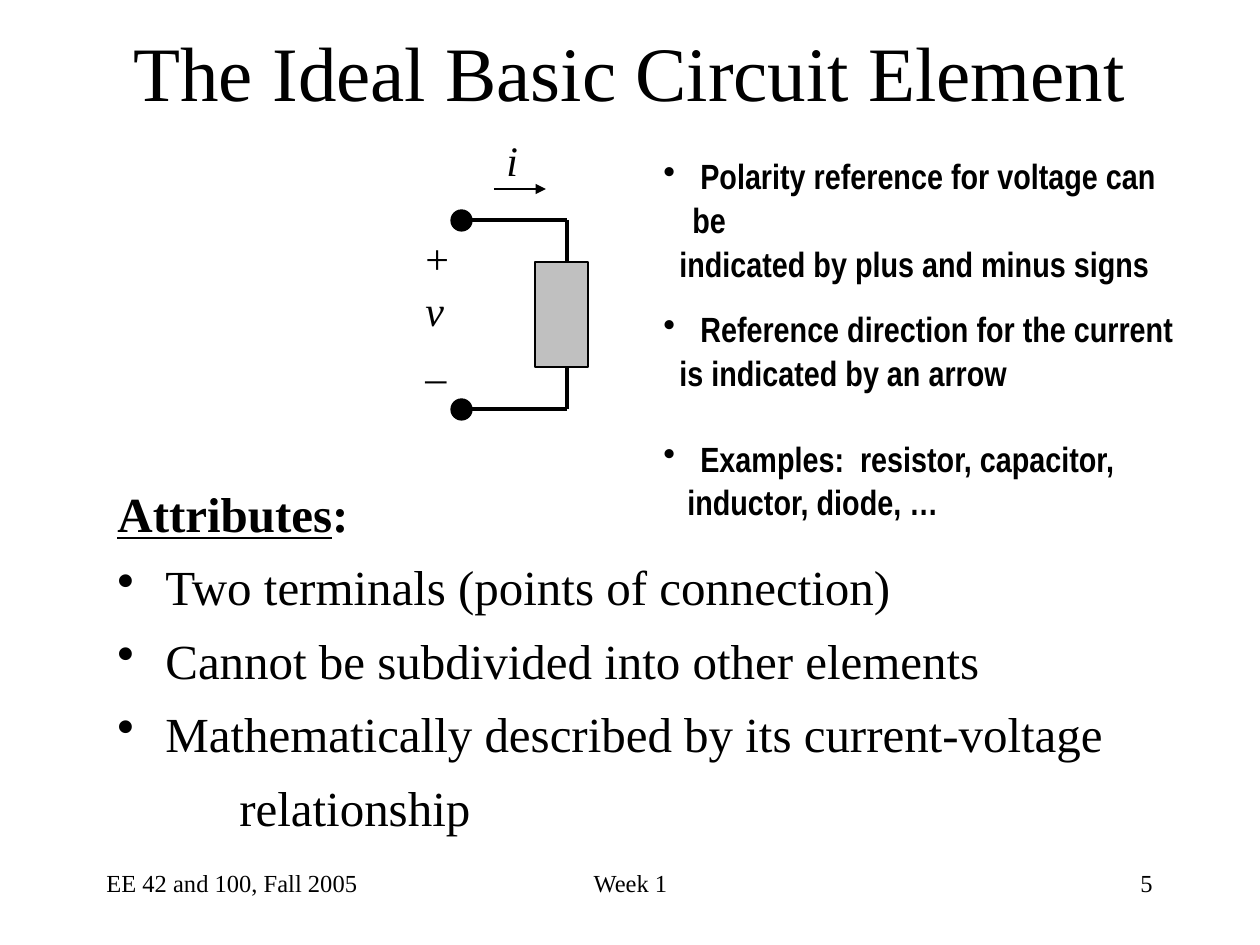
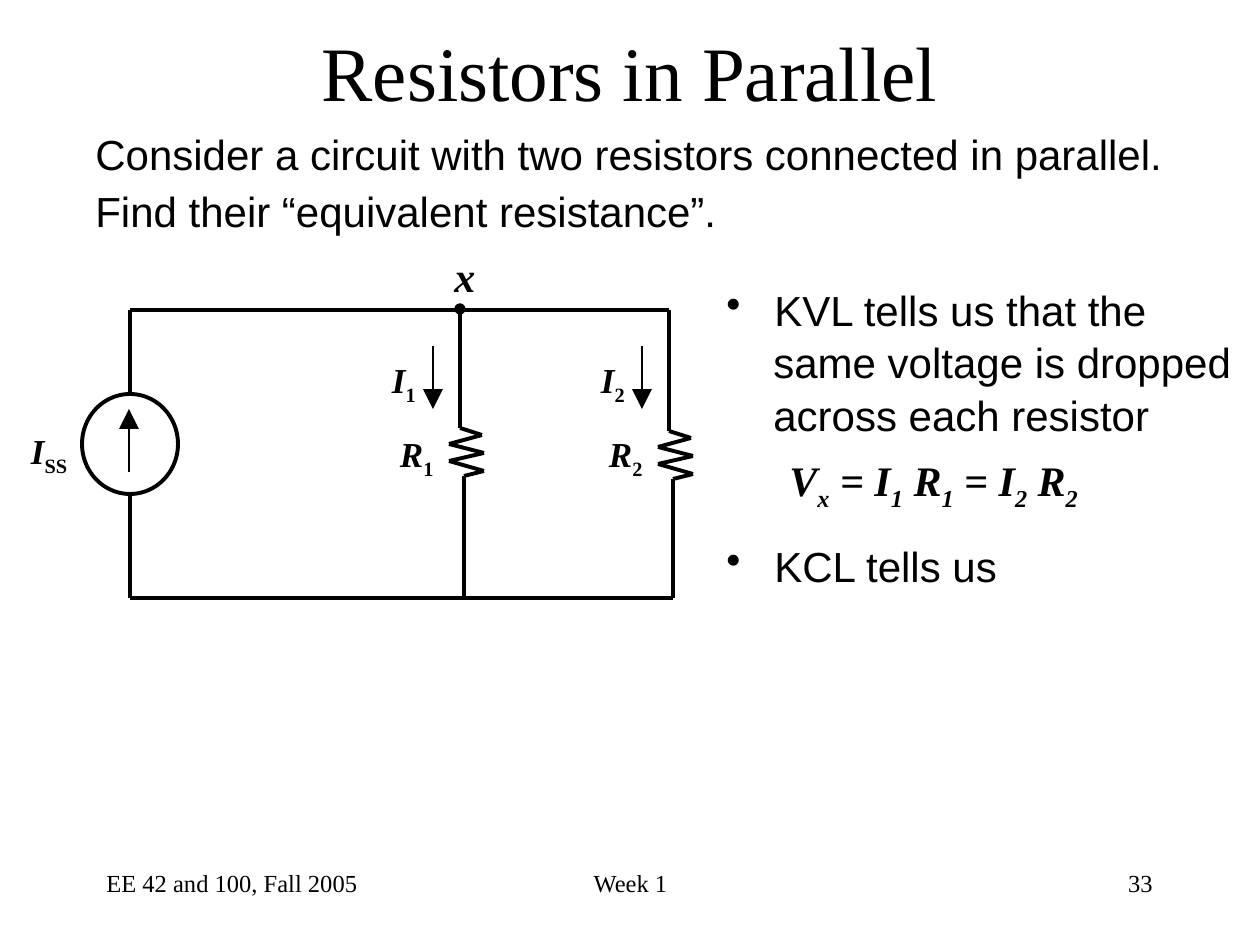
"""Build two circuit lecture slides with a shared title, footer and drawing style."""
import itertools
import math

import pptx
import pptx.dml.color
import pptx.enum.shapes
import pptx.enum.text
import pptx.oxml.ns
import pptx.util
from lxml import etree

PX = 914400 / 126
BLACK, WHITE, GREY = "000000", "FFFFFF", "C0C0C0"
SERIF, SANS, NARROW = "Times New Roman", "Arial", "Arial Narrow"
LINE_SPACING = 1.04
THICK, MEDIUM, THIN = 2.25, 1.5, 0.75
LEFT, CENTER, RIGHT = (pptx.enum.text.PP_ALIGN.LEFT, pptx.enum.text.PP_ALIGN.CENTER,
                       pptx.enum.text.PP_ALIGN.RIGHT)
TOP, MIDDLE = pptx.enum.text.MSO_ANCHOR.TOP, pptx.enum.text.MSO_ANCHOR.MIDDLE
SHAPES = pptx.enum.shapes.MSO_SHAPE

COURSE, WEEK = "EE 42 and 100, Fall 2005", "Week 1"

ATTRIBUTES = [
    {"runs": [("Attributes", "bu"), (":", "b")]},
    {"runs": "Two terminals (points of connection)", "bullet": 48, "before": 7},
    {"runs": "Cannot be subdivided into other elements", "bullet": 48, "before": 7},
    {"runs": "Mathematically described by its current-voltage", "bullet": 48, "before": 7},
    {"runs": "relationship", "indent": 122, "before": 7},
]
REFERENCES = [
    {"runs": " Polarity reference for voltage can be", "bullet": 29},
    {"runs": "indicated by plus and minus signs", "indent": 16},
    {"runs": " Reference direction for the current", "bullet": 29, "before": 12.5},
    {"runs": "is indicated by an arrow", "indent": 16},
    {"runs": " Examples:  resistor, capacitor,", "bullet": 29, "before": 24},
    {"runs": "inductor, diode, …", "indent": 24},
]
VOLTAGE = [{"runs": "+"}, {"runs": [("v", "i")]}, {"runs": "_"}]
ELEMENT_WIRES = [
    [(462, 220), (567, 220), (567, 262)],
    [(567, 368), (567, 409), (462, 409)],
]
TERMINALS = [(451, 210), (451, 399)]

PROBLEM = [
    {"runs": "Consider a circuit with two resistors connected in parallel."},
    {"runs": "Find their “equivalent resistance”.", "before": 3},
]
FORMULA = [("V", "bi"), ("x", "bi_"), (" = I", "bi"), ("1", "bi_"), (" R", "bi"), ("1", "bi_"),
           (" = I", "bi"), ("2", "bi_"), (" R", "bi"), ("2", "bi_")]
LAWS = [
    {"runs": "KVL tells us that the", "bullet": 48},
    {"runs": "same voltage is dropped", "indent": 47},
    {"runs": "across each resistor", "indent": 47},
    {"runs": FORMULA, "indent": 63, "before": 7.5, "font": SERIF},
    {"runs": "KCL tells us", "bullet": 48, "before": 15},
]
LOOP_WIRES = [
    [(130, 310), (130, 598)],
    [(130, 310), (669, 310)],
    [(130, 598), (673, 598)],
]
ZIGZAG = [(0, 0), (0, 24), (22, 31), (-11, 40), (24, 49), (-11, 57), (24, 67), (4, 72), (4, 96)]
BRANCHES = [("1", 460, 404), ("2", 669, 407)]


def px(length):
    return pptx.util.Emu(round(length * PX))


def rgb(color):
    return pptx.dml.color.RGBColor.from_string(color)


def add_text(s, box, paragraphs, size, font=SERIF, flags="", align=LEFT, anchor=TOP, inset=True):
    tf = s.shapes.add_textbox(*map(px, box)).text_frame
    tf.word_wrap = True
    tf.vertical_anchor = anchor
    if not inset:
        tf.margin_left = tf.margin_right = tf.margin_top = tf.margin_bottom = 0
    for i, spec_ in enumerate(paragraphs):
        p = tf.add_paragraph() if i else tf.paragraphs[0]
        bullet = spec_.get("bullet", 0)
        pPr = p._p.get_or_add_pPr()
        pPr.set("marL", str(px(bullet or spec_.get("indent", 0))))
        pPr.set("indent", str(px(-bullet)))
        if bullet:
            etree.SubElement(pPr, pptx.oxml.ns.qn("a:buChar")).set("char", "•")
        p.alignment = align
        p.line_spacing = LINE_SPACING
        p.space_before = pptx.util.Pt(spec_.get("before", 0))
        runs = spec_["runs"]
        for text, style in [(runs, "")] if isinstance(runs, str) else runs:
            r = p.add_run()
            r.text = text
            style += flags
            r.font.name = spec_.get("font", font)
            r.font.size = pptx.util.Pt(size)
            r.font.color.rgb = rgb(BLACK)
            r.font.bold = "b" in style
            r.font.italic = "i" in style
            r.font.underline = "u" in style
            if "_" in style:
                r.font._element.set("baseline", "-25000")


def add_label(s, x, y, letter, subscript):
    add_text(s, (x, y, 50, 48), [{"runs": [(letter, "i"), (subscript, "_")]}], 20,
             flags="b", inset=False)


def add_lines(s, points, width=THICK, arrow=False):
    for start, end in itertools.pairwise(points):
        line = s.shapes.add_connector(pptx.enum.shapes.MSO_CONNECTOR.STRAIGHT,
                                      *map(px, start + end))
        line.line.color.rgb = rgb(BLACK)
        line.line.width = pptx.util.Pt(width)
        spPr = line._element.spPr
        if arrow:
            tail = etree.SubElement(line.line._get_or_add_ln(), pptx.oxml.ns.qn("a:tailEnd"))
            tail.set("type", "triangle")
        etree.SubElement(spPr, pptx.oxml.ns.qn("a:effectLst"))


def paint(sp, fill, width=None):
    sp.shadow.inherit = False
    sp.fill.solid()
    sp.fill.fore_color.rgb = rgb(fill)
    if width:
        sp.line.color.rgb = rgb(BLACK)
        sp.line.width = pptx.util.Pt(width)
    else:
        sp.line.fill.background()


def add_shape(s, kind, box, fill, width=THIN):
    paint(s.shapes.add_shape(kind, *map(px, box)), fill, width)


def add_current_arrow(s, x, tail, tip):
    base = tip - math.copysign(20, tip - tail)
    add_lines(s, [(x, tail), (x, base)], THIN)
    builder = s.shapes.build_freeform(px(x - 10), px(base))
    builder.add_line_segments([(px(x), px(tip)), (px(x + 10), px(base))], close=True)
    paint(builder.convert_to_shape(), BLACK)


def add_slide(prs, title, number):
    s = prs.slides.add_slide(prs.slide_layouts[6])
    for left, width, text, align in [(94, 294, COURSE, LEFT), (431, 399, WEEK, CENTER),
                                     (903, 262, number, RIGHT)]:
        add_text(s, (left, 861, width, 63), [{"runs": text}], 14, align=align)
    add_text(s, (63, 32, 1134, 73), [{"runs": title}], 44, align=CENTER, anchor=MIDDLE)
    return s


def build_element(prs):
    s = add_slide(prs, "The Ideal Basic Circuit Element", "5")
    add_text(s, (105, 475, 1040, 372), ATTRIBUTES, 28)
    add_shape(s, SHAPES.RECTANGLE, (535, 262, 53, 105), GREY)
    for wire in ELEMENT_WIRES:
        add_lines(s, wire)
    for x, y in TERMINALS:
        add_shape(s, SHAPES.OVAL, (x, y, 21, 21), BLACK)
    add_text(s, (413, 224, 60, 164), VOLTAGE, 24)
    add_lines(s, [(494, 189), (546, 189)], MEDIUM, arrow=True)
    add_text(s, (494, 126, 50, 63), [{"runs": "i"}], 24, flags="i")
    add_text(s, (651, 147, 539, 370), REFERENCES, 20, NARROW, "b")


def build_parallel(prs):
    s = add_slide(prs, "Resistors in Parallel", "33")
    add_text(s, (83, 122, 1110, 118), PROBLEM, 24, SANS, anchor=MIDDLE)
    add_text(s, (714, 281, 536, 311), LAWS, 24, SANS, anchor=MIDDLE)
    for wire in LOOP_WIRES:
        add_lines(s, wire)
    add_shape(s, SHAPES.OVAL, (82, 394, 96, 100), WHITE, THICK)
    add_current_arrow(s, 129, 472, 409)
    add_label(s, 31, 428, "I", "SS")
    for name, x, y in BRANCHES:
        add_lines(s, [(x, 310), (x, y + 9)])
        add_lines(s, [(x + dx, y + dy) for dx, dy in ZIGZAG])
        add_lines(s, [(x + 4, 500), (x + 4, 598)])
        add_current_arrow(s, x - 27, 346, 409)
        add_label(s, x - 68, 357, "I", name)
        add_label(s, x - 60, 431, "R", name)
    add_text(s, (442, 242, 60, 63), [{"runs": "x"}], 24, flags="bi")
    add_shape(s, SHAPES.OVAL, (455, 304, 10, 10), BLACK)


def main():
    prs = pptx.Presentation()
    prs.slide_width, prs.slide_height = px(1260), px(945)
    build_element(prs)
    build_parallel(prs)
    prs.save("out.pptx")


if __name__ == "__main__":
    main()
